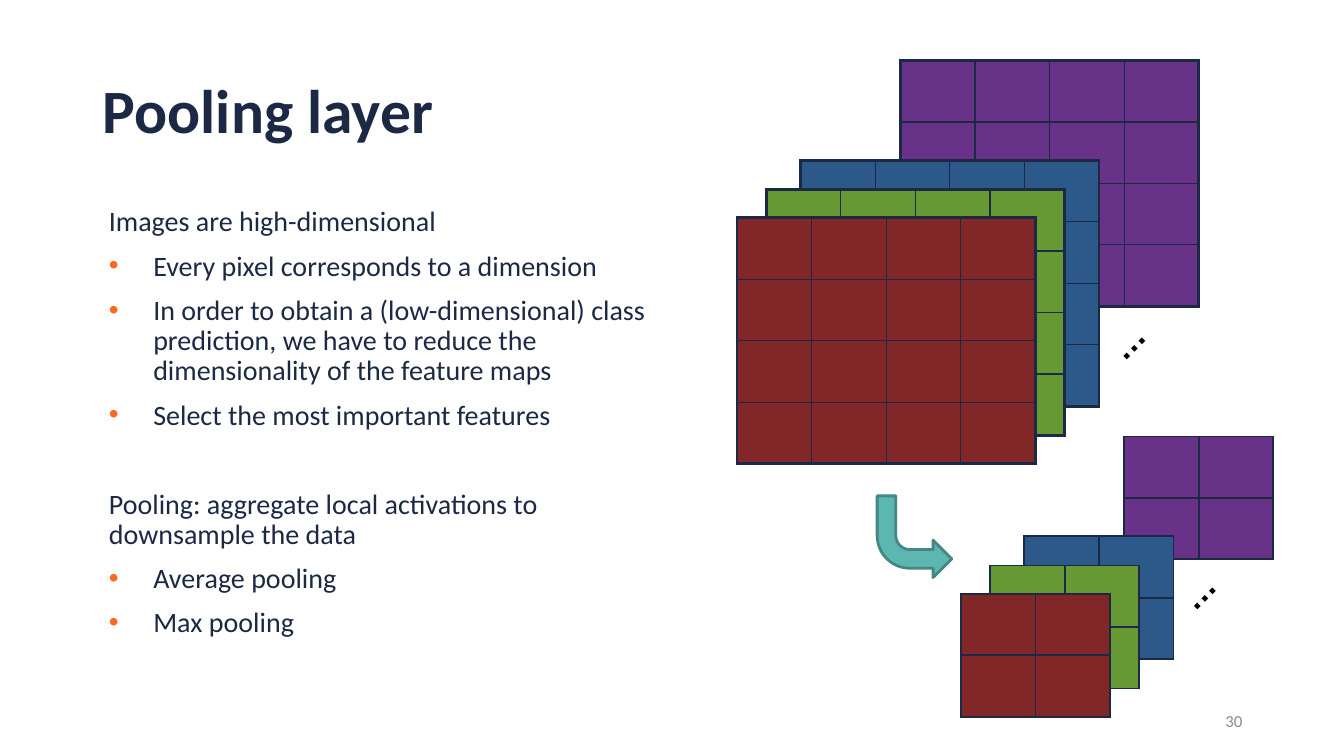
from pptx import Presentation
from pptx import util as u
from pptx.dml.color import RGBColor
from pptx.enum import shapes, text
from pptx.oxml.ns import qn
from lxml import etree
from dataclasses import dataclass

TITLE = "Pooling layer"
GROUPS = [
    ("Images are high-dimensional", [
        "Every pixel corresponds to a dimension",
        "In order to obtain a (low-dimensional) class prediction, "
        "we have to reduce the dimensionality of the feature maps",
        "Select the most important features"]),
    ("Pooling: aggregate local activations to downsample the data", [
        "Average pooling",
        "Max pooling"]),
]
NUMBER = "30"
# Feature maps, back to front: colour, left, top
MAPS = [("673287", 8.93, 0.6), ("2D588A", 7.94, 1.59),
        ("669933", 7.6, 1.88), ("822727", 7.31, 2.16)]
SHIFT = (2.22, 3.73)  # from the input stack to the pooled stack
DOTS = [(10.91, 3.13), (11.61, 5.61)]
CELL_W, CELL_H = 0.74, 0.61


@dataclass
class Theme:
    ink: str = "1B2944"
    bullet: str = "FF681E"
    muted: str = "898B91"
    dots: str = "000000"
    arrow: str = "5DB7B1"
    edge: str = "458783"
    font: str = "Calibri"
    title: int = 44
    body: int = 20
    number: int = 12
    ellipsis: int = 24


T = Theme()


def rgb(code):
    return RGBColor.from_string(code)


def place(shape, *box):
    shape.left, shape.top, shape.width, shape.height = map(u.Inches, box)


def style(para, size, color=T.ink, bold=False, font=T.font):
    f = para.font
    f.name, f.size, f.bold = font, u.Pt(size), bold
    f.color.rgb = rgb(color)


def add_text(slide, box, words, wrap=True):
    shape = slide.shapes.add_textbox(*map(u.Inches, box))
    frame = shape.text_frame
    frame.word_wrap = wrap
    frame.text = words
    return shape, frame


def indent(para, bullet):
    """Set the indent, and either a coloured bullet or none."""
    props = para._p.get_or_add_pPr()
    left, hang = (0.5, -0.44) if bullet else (0.06, 0)
    props.set("marL", str(u.Inches(left)))
    props.set("indent", str(u.Inches(hang)))
    if not bullet:
        etree.SubElement(props, qn("a:buNone"))
        return
    tint = etree.SubElement(props, qn("a:buClr"))
    etree.SubElement(tint, qn("a:srgbClr"), val=T.bullet)
    etree.SubElement(props, qn("a:buFont"), typeface="Arial")
    etree.SubElement(props, qn("a:buChar"), char="•")


def border(cell, widths):
    props = cell._tc.get_or_add_tcPr()
    for side, width in zip("LRTB", widths):
        line = etree.SubElement(props, qn("a:ln" + side), w=str(u.Pt(width)))
        fill = etree.SubElement(line, qn("a:solidFill"))
        etree.SubElement(fill, qn("a:srgbClr"), val=T.ink)


def add_map(slide, color, left, top, n, inner, outer):
    """Add a feature map: an n by n table in one colour."""
    box = (left, top, n * CELL_W, n * CELL_H)
    table = slide.shapes.add_table(n, n, *map(u.Inches, box)).table
    table.first_row = table.horz_banding = False
    for row in range(n):
        for col in range(n):
            cell = table.cell(row, col)
            rims = (col == 0, col == n - 1, row == 0, row == n - 1)
            border(cell, [outer if rim else inner for rim in rims])
            cell.fill.solid()
            cell.fill.fore_color.rgb = rgb(color)


def add_title(slide):
    title = slide.shapes.title
    place(title, 0.92, 0.4, 11.5, 1.45)
    frame = title.text_frame
    frame.text = TITLE
    frame.auto_size = text.MSO_AUTO_SIZE.NONE
    frame.vertical_anchor = text.MSO_ANCHOR.MIDDLE
    para = frame.paragraphs[0]
    para.alignment = text.PP_ALIGN.LEFT
    para.line_spacing = 0.9
    style(para, T.title, bold=True)


def add_body(slide):
    body = slide.placeholders[1]
    place(body, 0.92, 2.01, 5.75, 4.67)
    frame = body.text_frame
    frame.auto_size = text.MSO_AUTO_SIZE.NONE
    frame.vertical_anchor = text.MSO_ANCHOR.TOP
    for g, (head, items) in enumerate(GROUPS):
        for i, words in enumerate([head] + items):
            first = g == i == 0
            para = frame.paragraphs[0] if first else frame.add_paragraph()
            para.text = words
            para.line_spacing = 0.9
            para.space_before = u.Pt(0 if first else 10 if i else 42)
            indent(para, i > 0)
            style(para, T.body)


def add_number(slide):
    _, frame = add_text(slide, (9.42, 6.95, 3, 0.4), NUMBER)
    frame.vertical_anchor = text.MSO_ANCHOR.MIDDLE
    frame.paragraphs[0].alignment = text.PP_ALIGN.RIGHT
    style(frame.paragraphs[0], T.number, T.muted)


def add_dots(slide, left, top):
    shape, frame = add_text(slide, (left, top, 0.54, 0.5), "…", wrap=False)
    frame.auto_size = text.MSO_AUTO_SIZE.SHAPE_TO_FIT_TEXT
    shape.rotation = 315
    style(frame.paragraphs[0], T.ellipsis, T.dots, True, "Arial")


def add_arrow(slide):
    box = map(u.Inches, (8.7, 4.92, 0.74, 0.81))
    arrow = slide.shapes.add_shape(shapes.MSO_SHAPE.BENT_ARROW, *box)
    arrow._element.spPr.find(qn("a:xfrm")).set("flipV", "1")
    arrow.shadow.inherit = False
    arrow.fill.solid()
    arrow.fill.fore_color.rgb = rgb(T.arrow)
    arrow.line.color.rgb = rgb(T.edge)
    arrow.line.width = u.Pt(2)


def main():
    deck = Presentation()
    deck.slide_width, deck.slide_height = u.Inches(13.33), u.Inches(7.5)
    slide = deck.slides.add_slide(deck.slide_layouts[1])
    add_title(slide)
    add_body(slide)
    add_number(slide)
    for color, left, top in MAPS:
        add_map(slide, color, left, top, 4, 1, 2.25)
    for color, left, top in MAPS:
        add_map(slide, color, left + SHIFT[0], top + SHIFT[1], 2, 1.5, 1.5)
    for spot in DOTS:
        add_dots(slide, *spot)
    add_arrow(slide)
    deck.save("out.pptx")


if __name__ == "__main__":
    main()
